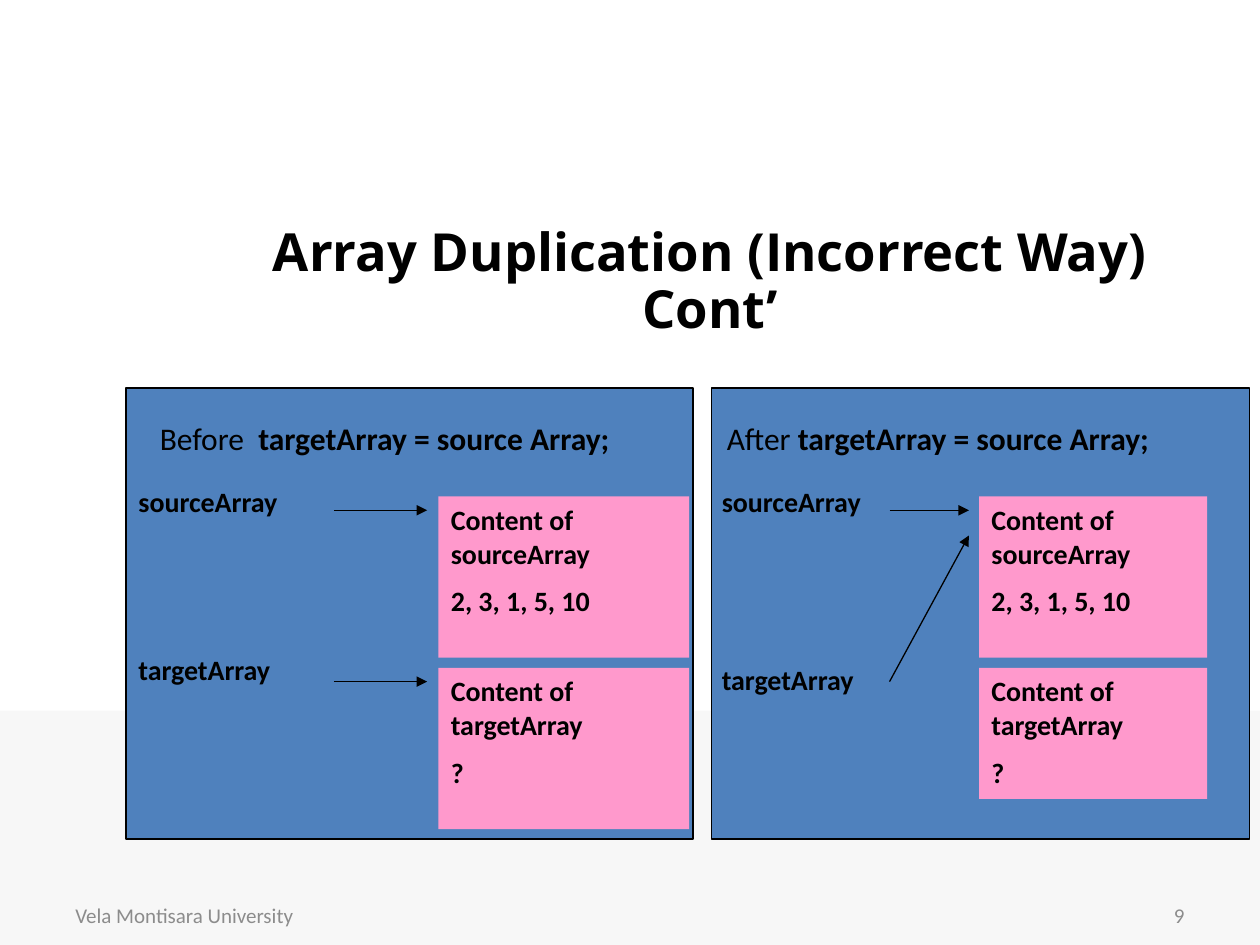
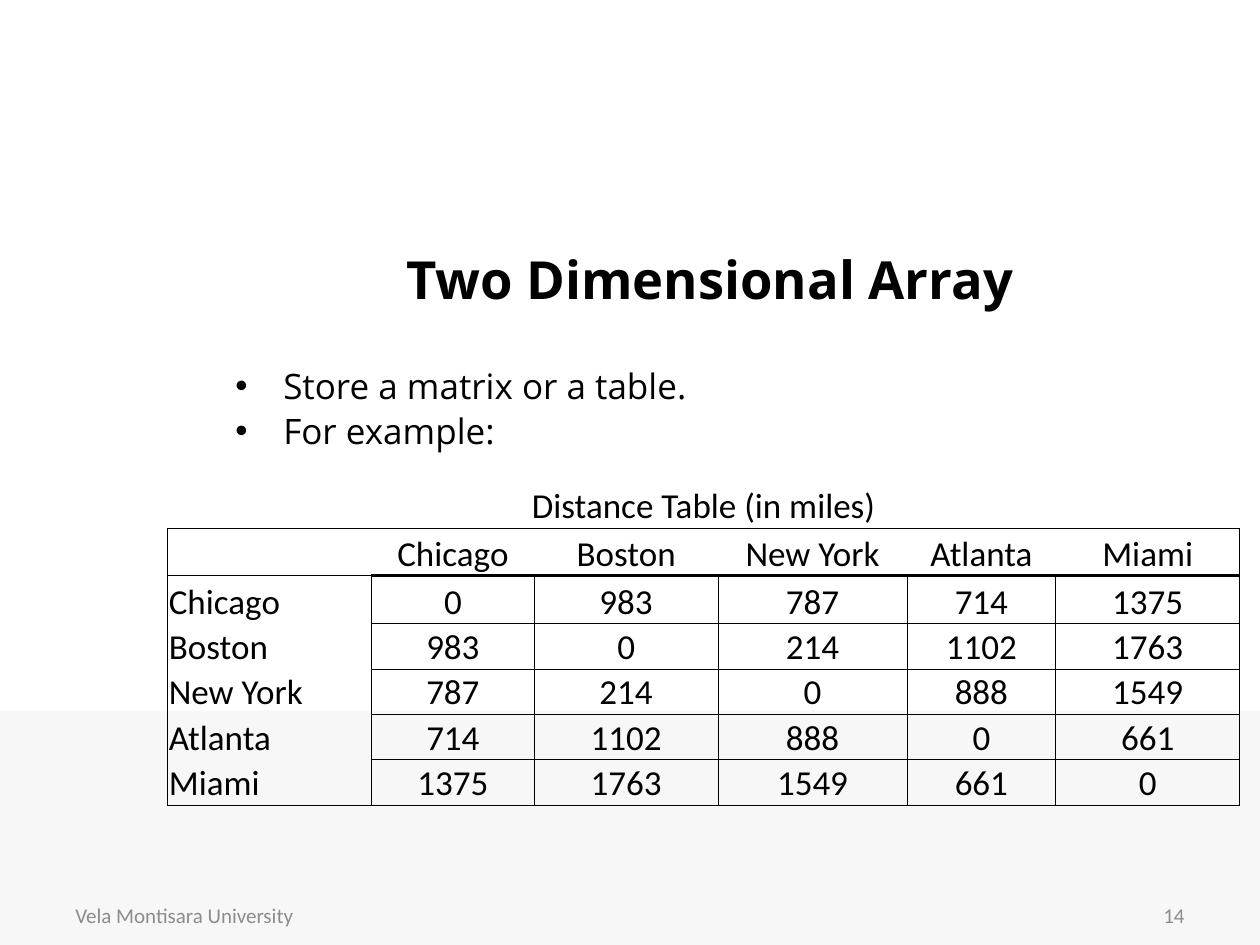
from lxml import etree
from pptx import Presentation
from pptx.dml.color import RGBColor as RGB
from pptx.enum.shapes import MSO_CONNECTOR as Conn, MSO_SHAPE as Shape
from pptx.enum.text import MSO_ANCHOR as Anchor, PP_ALIGN as Align
from pptx.oxml.ns import qn
from pptx.util import Inches, Pt

COL = {"ink": "000000", "band": "F7F7F7", "foot": "8C8C8C",
       "panel": "4F81BD", "note": "FF99CC"}
HEAD, BODY = "Open Sans", "Calibri"


def write(frame, paras, size, font=BODY, color="ink", align=Align.LEFT,
          anchor=Anchor.TOP, gap=0, line=None):
    """Fill a frame; each paragraph is a list of (text, bold) runs."""
    frame.word_wrap = True
    frame.vertical_anchor = anchor
    for i, runs in enumerate(paras):
        par = frame.paragraphs[0] if i == 0 else frame.add_paragraph()
        par.alignment = align
        par.space_before = Pt(gap)
        if line:
            par.line_spacing = line
        for text, bold in runs:
            run = par.add_run()
            run.text = text
            run.font.size, run.font.name, run.font.bold = Pt(size), font, bold
            run.font.color.rgb = RGB.from_string(COL[color])


def block(slide, x, y, w, h, fill, edge=False):
    """Add a flat rectangle, with a thin dark edge if asked."""
    rect = slide.shapes.add_shape(Shape.RECTANGLE, Inches(x), Inches(y), Inches(w), Inches(h))
    rect.shadow.inherit = False
    rect.fill.solid()
    rect.fill.fore_color.rgb = RGB.from_string(COL[fill])
    if edge:
        rect.line.color.rgb = RGB.from_string(COL["ink"])
        rect.line.width = Pt(0.75)
    else:
        rect.line.fill.background()
    return rect


prs = Presentation()
prs.slide_width, prs.slide_height = Inches(10), Inches(7.5)

# Shared band, title and footer
slides = []
for title, num in [("Array Duplication (Incorrect Way) Cont’", "9"),
                   ("Two Dimensional Array", "14")]:
    slide = prs.slides.add_slide(prs.slide_layouts[6])
    slides.append(slide)
    block(slide, 0, 5.64, 10, 1.86, "band")
    box = slide.shapes.add_textbox(Inches(1.77), Inches(1.62), Inches(7.73), Inches(1.25))
    write(box.text_frame, [[(title, True)]], 30, HEAD, align=Align.CENTER,
          anchor=Anchor.MIDDLE, line=0.9)
    for x, text, align in [(0.5, "Vela Montisara University", Align.LEFT),
                           (7.17, num, Align.RIGHT)]:
        box = slide.shapes.add_textbox(Inches(x), Inches(7.06), Inches(2.33), Inches(0.4))
        write(box.text_frame, [[(text, False)]], 12, color="foot", align=align,
              anchor=Anchor.MIDDLE)
first, second = slides

# Before and after panels
# panel x, width; caption x, word; label x, target label y;
# note x, width, target note height; arrow start, end, target arrow end y
panels = [
    (1, 4.5, 1.17, "Before  ", 1, 5.13, 3.48, 1.99, 1.28, 2.65, 3.39, 5.41),
    (5.65, 4.27, 5.67, "After ", 5.63, 5.21, 7.77, 1.81, 1.04, 7.06, 7.69, 4.25),
]
for px, pw, cx, word, lx, ly, nx, nw, nh, ax, bx, by in panels:
    block(first, px, 3.08, pw, 3.58, "panel", edge=True)
    box = first.shapes.add_textbox(Inches(cx), Inches(3.28), Inches(4.2), Inches(0.4))
    write(box.text_frame, [[(word, False), ("targetArray = source Array;", True)]], 18)

    # Each array: label, arrow and the content it points to
    for name, vals, y, top, high, ay, end in [
            ("sourceArray", "2, 3, 1, 5, 10", 3.8, 3.94, 1.28, 4.05, 4.05),
            ("targetArray", "?", ly, 5.3, nh, 5.41, by)]:
        box = first.shapes.add_textbox(Inches(lx), Inches(y), Inches(1.75), Inches(0.46))
        write(box.text_frame, [[(name, True)]], 16)
        note = block(first, nx, top, nw, high, "note")
        write(note.text_frame, [[("Content of " + name, True)], [(vals, True)]], 16, gap=8)
        arrow = first.shapes.add_connector(Conn.STRAIGHT, Inches(ax), Inches(ay),
                                           Inches(bx), Inches(end))
        arrow.line.color.rgb = RGB.from_string(COL["ink"])
        arrow.line.width = Pt(0.75)
        etree.SubElement(arrow.line._get_or_add_ln(), qn("a:tailEnd"), type="triangle")
        etree.SubElement(arrow._element.spPr, qn("a:effectLst"))

# Bullets
box = second.shapes.add_textbox(Inches(1.77), Inches(2.88), Inches(7.73), Inches(0.9))
write(box.text_frame, [[("Store a matrix or a table.", False)], [("For example:", False)]],
      20, HEAD, gap=4, line=0.9)
for par in box.text_frame.paragraphs:
    props = par._p.get_or_add_pPr()
    props.set("marL", str(Inches(0.38)))
    props.set("indent", str(-Inches(0.38)))
    etree.SubElement(props, qn("a:buFont"), typeface="Arial")
    etree.SubElement(props, qn("a:buChar"), char="•")

# Distance table
towns = ["Chicago", "Boston", "New York", "Atlanta", "Miami"]
miles = [[0, 983, 787, 714, 1375],
         [983, 0, 214, 1102, 1763],
         [787, 214, 0, 888, 1549],
         [714, 1102, 888, 0, 661],
         [1375, 1763, 1549, 661, 0]]
rows = [["Distance Table (in miles)"] + [""] * 5, [""] + towns]
rows += [[town] + dists for town, dists in zip(towns, miles)]
wide = [1.62, 1.29, 1.46, 1.5, 1.18, 1.46]
high = [0.36, 0.38, 0.38] + [0.36] * 4

frame = second.shapes.add_table(7, 6, Inches(1.33), Inches(3.83),
                                Inches(sum(wide)), Inches(sum(high)))
table = frame.table
table.first_row = table.horz_banding = False
plain = "{2D5ABB26-0587-4C30-8999-92F81FD0307C}"
table._tbl.tblPr.find(qn("a:tableStyleId")).text = plain
for c, w in enumerate(wide):
    table.columns[c].width = Inches(w)
for r, h in enumerate(high):
    table.rows[r].height = Inches(h)
table.cell(0, 0).merge(table.cell(0, 5))

for r, row in enumerate(rows):
    for c, val in enumerate(row):
        cell = table.cell(r, c)
        cell.margin_left = cell.margin_right = cell.margin_top = Inches(0.01)
        cell.margin_bottom = 0
        cell.vertical_anchor = Anchor.BOTTOM
        if val != "":
            write(cell.text_frame, [[(str(val), False)]], 20,
                  align=Align.LEFT if r > 1 and c == 0 else Align.CENTER)

        # Thin grid, heavy rule under the town names, open stub column
        inner = r > 1 and c > 0
        edges = {
            "L": 0.5 if inner or (r > 0 and c == 0) else 0,
            "R": 0.5 if r > 1 or (r == 1 and c == 5) else 0,
            "T": 2 if inner and r == 2 else 0.5 if inner or r in (1, 2) else 0,
            "B": 2 if r == 1 and c > 0 else 0.5 if inner or r in (0, 1, 6) else 0,
        }
        props = cell._tc.get_or_add_tcPr()
        for side, width in edges.items():
            ln = etree.SubElement(props, qn("a:ln" + side), w=str(Pt(width)))
            if width:
                fill = etree.SubElement(ln, qn("a:solidFill"))
                etree.SubElement(fill, qn("a:srgbClr"), val=COL["ink"])
            else:
                etree.SubElement(ln, qn("a:noFill"))
        cell.fill.background()

prs.save("out.pptx")
